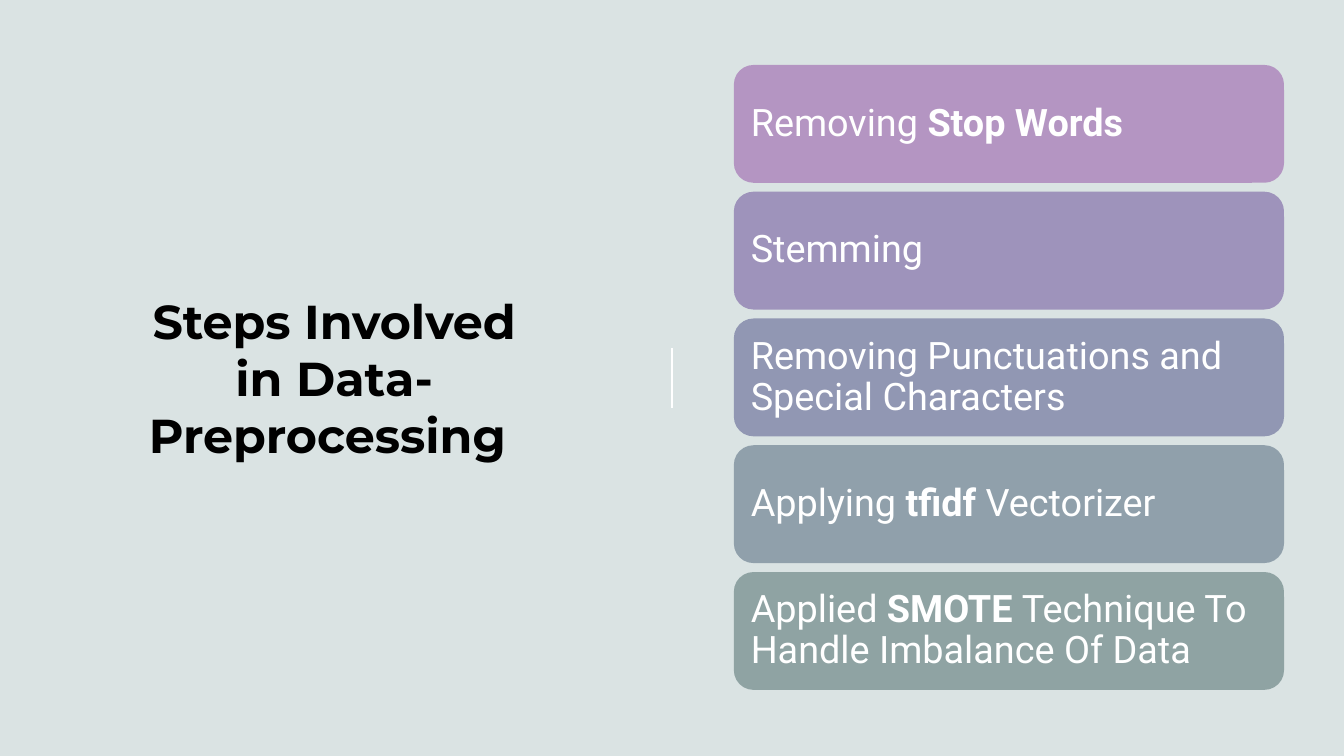
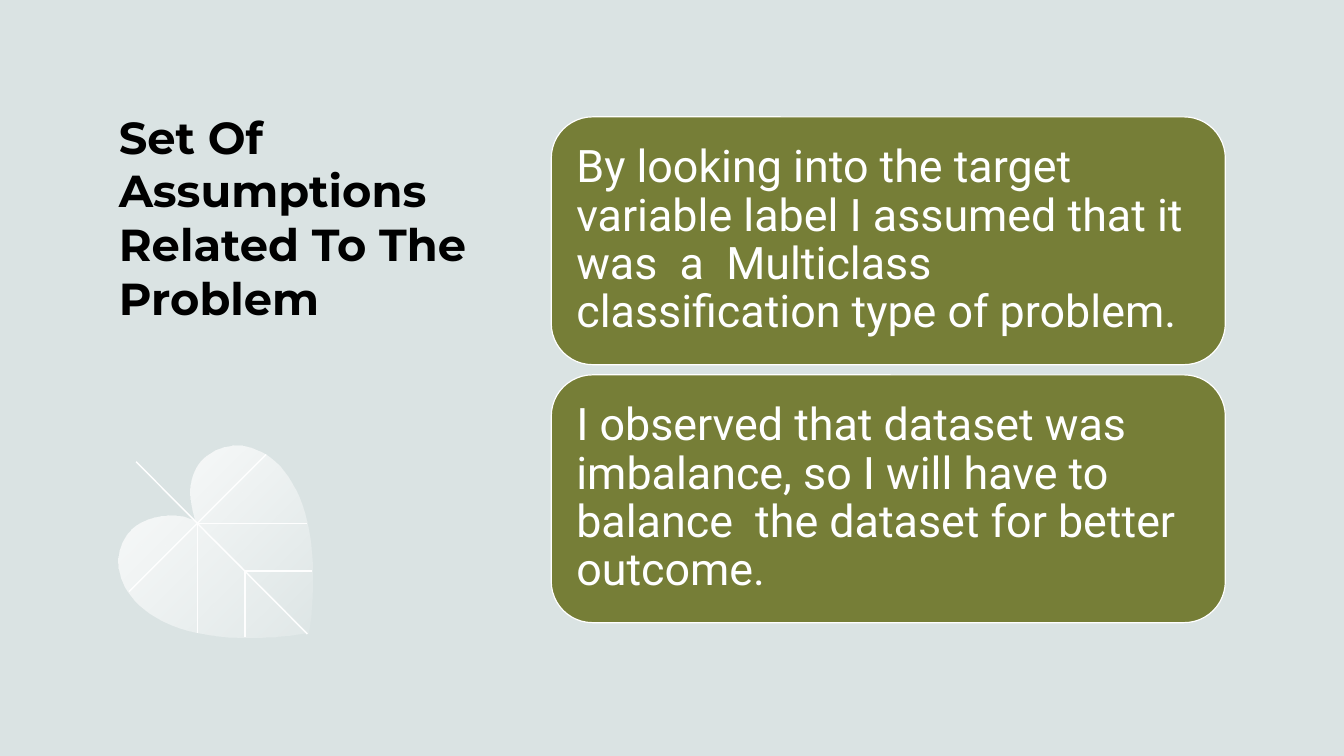
"""Build two slides on data preprocessing steps and assumptions."""
from lxml.etree import SubElement
from pptx import Presentation
from pptx.dml.color import RGBColor
from pptx.enum.shapes import MSO_CONNECTOR as LINK, MSO_SHAPE as SHAPE
from pptx.enum.text import MSO_ANCHOR as ANCHOR, PP_ALIGN as ALIGN
from pptx.oxml.ns import qn
from pptx.util import Pt

WHITE, BLACK, MIST, OLIVE = "FFFFFF", "000000", "DAE3E3", "767E37"
rgb = RGBColor.from_string


def write(shape, parts, size, font, color, bold=False):
    """Fill a shape with one paragraph; every second part is bold."""
    frame = shape.text_frame
    frame.word_wrap = True
    para = frame.paragraphs[0]
    for i, part in enumerate(parts):
        run = para.add_run()
        run.text = part
        run.font.name, run.font.size = font, Pt(size)
        run.font.bold = bold or i % 2 == 1
        run.font.color.rgb = rgb(color)
    return para


def trace(slide, start, steps, close):
    """Draw an outline; a step of three points is a cubic curve."""
    pen = slide.shapes.build_freeform(*start, scale=Pt(1))
    pen.add_line_segments([dot for step in steps for dot in step], close=close)
    shape = pen.convert_to_shape()
    shape.shadow.inherit = False
    nodes = iter(list(shape._element.iter(qn("a:lnTo"))))
    for step in steps:
        first, *rest = [next(nodes) for dot in step]
        if rest:
            first.tag = qn("a:cubicBezTo")
        for node in rest:
            first.append(node[0])
            node.getparent().remove(node)
    return shape


prs = Presentation()
prs.slide_width, prs.slide_height = Pt(960), Pt(540)
back = prs.slide_master.background.fill
back.solid()
back.fore_color.rgb = rgb(MIST)

steps = [
    ("B495C2", ["Removing ", "Stop Words"]),
    ("9E93BB", ["Stemming"]),
    ("9197B3", ["Removing Punctuations and Special Characters"]),
    ("90A0AB", ["Applying ", "tfidf ", "Vectorizer"]),
    ("8FA3A3", ["Applied ", "SMOTE ", "Technique To Handle Imbalance Of Data"]),
]
claims = [
    (OLIVE, ["By looking into the target variable label I assumed that it was  a  Multiclass "
             "classification type of problem."]),
    (OLIVE, ["I observed that dataset was imbalance, so I will have to balance  the dataset "
             "for better outcome."]),
]
pages = [
    dict(title="Steps Involved in Data-Preprocessing ", at=(85, 85, 307.5, 369.5), size=34,
         align=ALIGN.CENTER, anchor=ANCHOR.MIDDLE, cards=steps, card=(524.2, 46.4, 393, 84.2),
         pitch=90.55, pad=8, text=27, edge=0, rules=[((480, 248.4), (480, 291.6))]),
    dict(title="Set Of Assumptions Related To The Problem", at=(77.8, 74.5, 277.9, 195.8), size=32,
         align=ALIGN.LEFT, anchor=ANCHOR.TOP, cards=claims, card=(393.8, 83.5, 481.5, 177),
         pitch=184.3, pad=9.3, text=32, edge=0.85,
         rules=[((219.6, 452.9), (97.2, 329.8)), ((92.2, 422.6), (190.1, 324.7))]),
]
for page in pages:
    slide = prs.slides.add_slide(prs.slide_layouts[6])
    title = slide.shapes.add_textbox(*map(Pt, page["at"]))
    title.text_frame.vertical_anchor = page["anchor"]
    para = write(title, [page["title"]], page["size"], "Montserrat", BLACK, True)
    para.alignment = page["align"]

    left, top, width, height = page["card"]
    for i, (color, parts) in enumerate(page["cards"]):
        card = slide.shapes.add_shape(SHAPE.ROUNDED_RECTANGLE, Pt(left), Pt(top + i * page["pitch"]),
                                      Pt(width), Pt(height))
        card.shadow.inherit = False
        card.fill.solid()
        card.fill.fore_color.rgb = rgb(color)
        if page["edge"]:
            card.line.color.rgb = rgb(WHITE)
            card.line.width = Pt(page["edge"])
        else:
            card.line.fill.background()
        frame = card.text_frame
        frame.vertical_anchor = ANCHOR.MIDDLE
        frame.margin_left = frame.margin_right = Pt(page["pad"])
        frame.margin_top = frame.margin_bottom = Pt(page["pad"])
        para = write(card, parts, page["text"], "Roboto", WHITE)
        para.alignment, para.line_spacing = ALIGN.LEFT, 0.9

    for start, end in page["rules"]:
        rule = slide.shapes.add_connector(LINK.STRAIGHT, *map(Pt, start + end))
        rule.line.color.rgb = rgb(WHITE)
        rule.line.width = Pt(1)
        SubElement(rule._element.spPr, qn("a:effectLst"))

for x, y, side in [(141.1, 373.7, 77.8), (175, 407.5, 47.9)]:
    vein = trace(slide, (x + side, y), [[(x, y)], [(x, y + side)]], False)
    vein.fill.background()
    vein.line.color.rgb = rgb(WHITE)
    vein.line.width = Pt(1)

lobes = [
    ((219.6, 452.2), [
        [(139.7, 372.2)], [(131.8, 369.4)],
        [(115.9, 365.8), (103, 370.1), (94.3, 378)],
        [(93.6, 378.7), (92.2, 380.2), (91.4, 381.6)],
        [(71.3, 408.2), (95.8, 465.8), (206.6, 454.3)]], (80, 20)),
    ((220.3, 452.9), [
        [(221.8, 439.9)],
        [(233.3, 329), (175.7, 303.8), (149, 324.7)],
        [(139, 331.9), (133.2, 346.3), (137.5, 365)],
        [(140.4, 373)], [(139.7, 372.2)], [(219.6, 452.2)]], (80, 10)),
]
for start, edges, shades in lobes:
    lobe = trace(slide, start, edges, True)
    lobe.line.fill.background()
    lobe.fill.gradient()
    lobe.fill.gradient_angle = 315
    for stop in lobe.fill.gradient_stops:
        stop.color.rgb = rgb(WHITE)
    for tint, shade in zip(lobe._element.spPr.iter(qn("a:srgbClr")), shades):
        SubElement(tint, qn("a:alpha"), val=str(shade * 1000))

prs.save("out.pptx")
